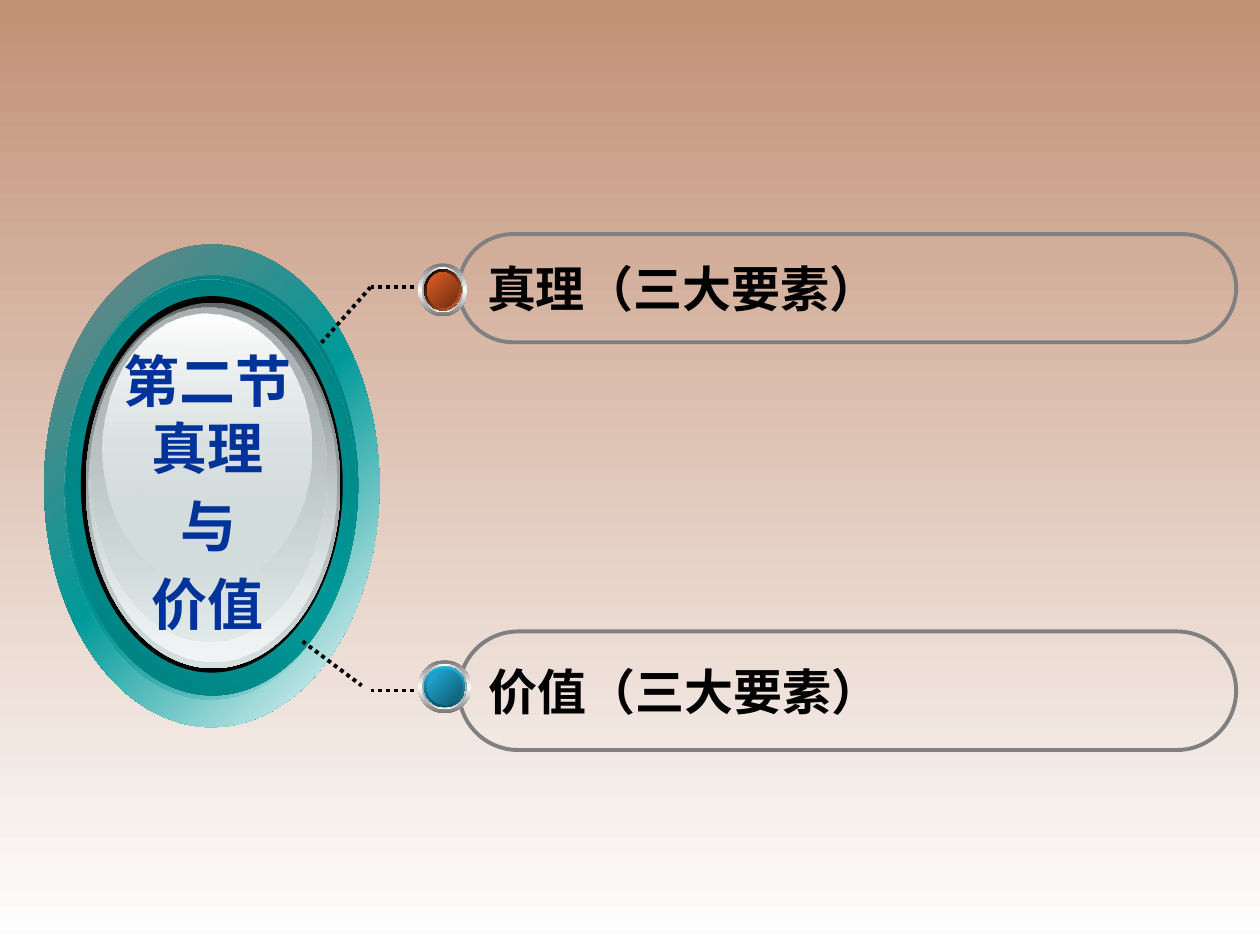
"""Build the slide that splits one section into truth and value."""
from dataclasses import dataclass

from lxml.etree import SubElement
from pptx import Presentation
from pptx.dml.color import RGBColor
from pptx.enum.dml import MSO_LINE
from pptx.enum.shapes import MSO_CONNECTOR, MSO_SHAPE
from pptx.enum.text import MSO_ANCHOR, PP_ALIGN
from pptx.oxml.ns import qn
from pptx.util import Cm, Pt


@dataclass(frozen=True)
class Theme:
    sand: str = "C29176"
    white: str = "FFFFFF"
    black: str = "000000"
    gray: str = "808080"
    blue: str = "003399"
    teal: str = "009999"
    deep: str = "007575"
    mist: str = "D6E1E2"
    steel: str = "767676"
    silver: str = "A2A2A2"
    sky: str = "21B3E1"
    rust: str = "E35E23"
    title: int = 32
    label: int = 28
    line: float = 2.25
    latin: str = "Arial"
    asian: str = "Noto Sans CJK JP"


T = Theme()
RIM = ((T.deep, T.teal, T.deep), 315)
ORB = (
    ((0.89, 4.93, 6.76, 9.73), (T.gray, T.teal, T.white), 45),
    ((1.35, 5.56, 5.87, 8.46), *RIM),
    ((1.3, 5.64, 5.87, 8.46), ("007E7E", (T.teal, 0)), 45),
    ((1.63, 5.97, 5.28, 7.59), (T.black, T.black), 0),
    ((1.73, 6.1, 5.13, 7.37), ("636869", T.mist), 90),
    ((1.78, 6.15, 5, 7.19), ((T.mist, 0), "F1F5F5"), 90),
    ((1.83, 6.2, 4.75, 6.73), ("AAB2B3", (T.mist, 48)), 90),
    ((2.06, 6.32, 4.22, 5.46), (T.white, (T.mist, 38)), 90),
)
DOTS = (
    (6.48, 6.91, 7.47, 5.79),
    (6.1, 12.93, 7.29, 13.82),
    (7.47, 5.79, 9.07, 5.79),
    (7.47, 13.92, 9.07, 13.92),
)
PILLS = (
    ("价值（三大要素）", (9.25, 12.73, 15.67, 2.39)),
    ("真理（三大要素）", (9.25, 4.72, 15.67, 2.18)),
)
BEADS = (
    ((8.43, 13.31, 1.07, 1.07), ((T.sky, "0F5368"), 90), ((T.sky, "10576D"), 45)),
    ((8.43, 5.31, 0.99, 1.07), ((T.black, T.rust), 45), ((T.rust, "6E2E11"), 45)),
)


def shade(fill, node, stops, angle):
    """Fill with evenly spaced stops, each a colour or (colour, opacity)."""
    fill.gradient()
    fill.gradient_angle = (360 - angle) % 360
    bag = node.find(qn("a:gradFill")).find(qn("a:gsLst"))
    bag.clear()
    for i, stop in enumerate(stops):
        tint, alpha = (stop, 100) if isinstance(stop, str) else stop
        spot = SubElement(bag, qn("a:gs"), pos=str(100000 * i // (len(stops) - 1)))
        tone = SubElement(spot, qn("a:srgbClr"), val=tint)
        if alpha < 100:
            SubElement(tone, qn("a:alpha"), val=str(alpha * 1000))


def add_form(shapes, kind, box, stops, angle):
    """Add a borderless shape with a solid or gradient fill."""
    form = shapes.add_shape(kind, *map(Cm, box))
    form.shadow.inherit = False
    form.line.fill.background()
    if len(set(stops)) == 1:
        form.fill.solid()
        form.fill.fore_color.rgb = RGBColor.from_string(stops[0])
    else:
        shade(form.fill, form.element.spPr, stops, angle)


def add_dots(shapes, ends):
    """Add a dotted connector."""
    link = shapes.add_connector(MSO_CONNECTOR.STRAIGHT, *map(Cm, ends))
    link.line.width = Pt(T.line)
    link.line.color.rgb = RGBColor.from_string(T.black)
    link.line.dash_style = MSO_LINE.ROUND_DOT
    SubElement(link.element.spPr, qn("a:effectLst"))


def set_text(para, text, face, size, tint, align):
    """Write one bold paragraph."""
    para.text = text
    para.alignment = align
    para.font.name = face
    para.font.size = Pt(size)
    para.font.bold = True
    para.font.color.rgb = RGBColor.from_string(tint)


def add_title(shapes):
    """Add the section title over the orb."""
    frame = shapes.add_textbox(Cm(2.11), Cm(6.86), Cm(4.17), Cm(6.15)).text_frame
    frame.word_wrap = True
    for i, text in enumerate(("第二节真理", "与", "价值")):
        para = frame.add_paragraph() if i else frame.paragraphs[0]
        set_text(para, text, T.latin, T.title, T.blue, PP_ALIGN.CENTER)
        para.space_before = Pt(6)


def add_pill(shapes, text, box):
    """Add an outlined pill with its label."""
    pill = shapes.add_shape(MSO_SHAPE.ROUNDED_RECTANGLE, *map(Cm, box))
    pill.adjustments[0] = 0.5
    pill.shadow.inherit = False
    pill.fill.background()
    pill.line.color.rgb = RGBColor.from_string(T.gray)
    pill.line.width = Pt(T.line)
    frame = pill.text_frame
    frame.word_wrap = False
    frame.vertical_anchor = MSO_ANCHOR.MIDDLE
    set_text(frame.paragraphs[0], text, T.asian, T.label, T.black, PP_ALIGN.LEFT)


def add_bead(shapes, box, shell, core):
    """Add a bead of nested discs."""
    left, top, width, height = box
    discs = (
        (0, (T.steel, T.white, T.steel), 90),
        (0.08, (T.silver, T.white, T.silver), 0),
        (0.12, (T.white, T.teal, T.white), 45),
        (0.12, *shell),
        (0.18, *RIM),
        (0.18, *core),
    )
    for gap, stops, angle in discs:
        spot = (left + gap, top + gap, width - 2 * gap, height - 2 * gap)
        add_form(shapes, MSO_SHAPE.OVAL, spot, stops, angle)


def main():
    """Build and save the slide."""
    deck = Presentation()
    deck.slide_width, deck.slide_height = Cm(25.4), Cm(19.05)
    slide = deck.slides.add_slide(deck.slide_layouts[6])
    back = slide.background.fill
    back.solid()
    back.fore_color.rgb = RGBColor.from_string(T.sand)
    shapes = slide.shapes
    add_form(shapes, MSO_SHAPE.RECTANGLE, (0, 0.05, 25.4, 19.05), (T.sand, T.white), 90)
    group = shapes.add_group_shape().shapes
    for box, stops, angle in ORB:
        add_form(group, MSO_SHAPE.OVAL, box, stops, angle)
    for ends in DOTS:
        add_dots(group, ends)
    add_title(group)
    for text, box in PILLS:
        add_pill(shapes, text, box)
    for box, shell, core in BEADS:
        add_bead(shapes.add_group_shape().shapes, box, shell, core)
    deck.save("out.pptx")


if __name__ == "__main__":
    main()
